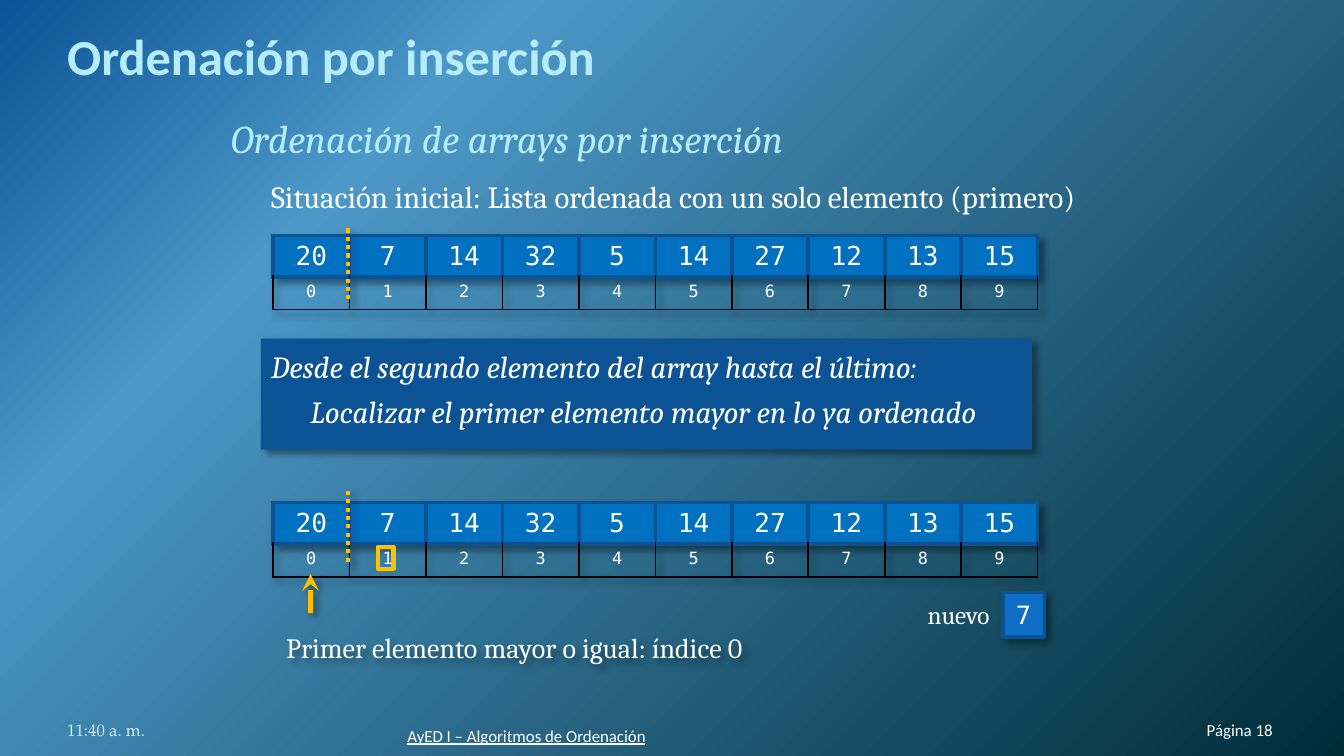
"""Build a slide on insertion sort with two array tables."""
import pptx
import pptx.util
import pptx.dml.color
import pptx.enum.dml
import pptx.enum.shapes
import pptx.enum.text
import pptx.oxml
import pptx.oxml.ns

Cm, Pt = pptx.util.Cm, pptx.util.Pt
RGB = pptx.dml.color.RGBColor.from_string
ALIGN = pptx.enum.text.PP_ALIGN
ANCHOR = pptx.enum.text.MSO_ANCHOR
LINE = pptx.enum.shapes.MSO_CONNECTOR.STRAIGHT
RECT = pptx.enum.shapes.MSO_SHAPE.RECTANGLE
NS = pptx.oxml.ns.nsdecls("a")
HUES = {
    "navy": "0B5394", "sky": "4C98C7", "deep": "002C38", "cell": "0070C0",
    "ice": "B5EDFD", "white": "FFFFFF", "gold": "FFC000", "pale": "D1EAEE",
    "new": "0F6FC6", "edge": "0B5292",
}
MONO, SERIF, SANS = "DejaVu Sans Mono", "Cambria", "Calibri"


def write(par, text, size, face, hue="white", align=None):
    """Fill a paragraph with one formatted run and return its font."""
    par.text = text
    par.alignment = align
    font = par.runs[0].font
    font.size, font.name = Pt(size), face
    font.color.rgb = RGB(HUES[hue])
    return font


def shade(props):
    """Give shape or table properties a soft drop shadow."""
    for old in props.findall(pptx.oxml.ns.qn("a:effectLst")):
        props.remove(old)
    props.append(pptx.oxml.parse_xml(
        f'<a:effectLst {NS}><a:outerShdw blurRad="50800" dist="38100" dir="2700000" '
        'algn="tl" rotWithShape="0"><a:srgbClr val="000000"><a:alpha val="40000"/>'
        '</a:srgbClr></a:outerShdw></a:effectLst>'))


deck = pptx.Presentation()
deck.slide_width, deck.slide_height = Cm(25.4), Cm(14.29)
slide = deck.slides.add_slide(deck.slide_layouts[1])
shapes = slide.shapes

slide.background.fill.gradient()
grad = slide._element.find(".//" + pptx.oxml.ns.qn("a:gradFill"))
stops = "".join(
    f'<a:gs pos="{pos * 1000}"><a:srgbClr val="{HUES[hue]}"/></a:gs>'
    for pos, hue in ((0, "navy"), (25, "sky"), (100, "deep")))
grad.getparent().replace(grad, pptx.oxml.parse_xml(
    f'<a:gradFill {NS} rotWithShape="1"><a:gsLst>{stops}</a:gsLst>'
    '<a:path path="circle"><a:fillToRect r="100000" b="100000"/></a:path></a:gradFill>'))

panel = shapes.add_shape(RECT, Cm(4.93), Cm(6.4), Cm(14.58), Cm(2.1))
panel.fill.solid()
panel.fill.fore_color.rgb = RGB(HUES["navy"])
panel.line.fill.background()
shade(panel._element.spPr)
shapes._spTree.insert(2, panel._element)

title = shapes.title
title.left, title.top, title.width, title.height = Cm(1.27), Cm(0.58), Cm(22.86), Cm(1.04)
frame = title.text_frame
frame.auto_size = pptx.enum.text.MSO_AUTO_SIZE.NONE
frame.vertical_anchor = ANCHOR.BOTTOM
frame.margin_left = frame.margin_right = frame.margin_bottom = 0
font = write(frame.paragraphs[0], "Ordenación por inserción", 27, SANS, "ice", ALIGN.LEFT)
font.bold = True
font._element.insert(0, pptx.oxml.parse_xml(
    f'<a:ln {NS} w="9525"><a:solidFill><a:srgbClr val="{HUES["cell"]}"/></a:solidFill></a:ln>'))

body = slide.placeholders[1]
body.left, body.top, body.width, body.height = Cm(4.11), Cm(2.03), Cm(17.42), Cm(10.64)
frame = body.text_frame
frame.auto_size = pptx.enum.text.MSO_AUTO_SIZE.NONE
lines = [
    ("Ordenación de arrays por inserción", 0, 0, 0, 9, 21, "ice", True),
    ("Situación inicial: Lista ordenada con un solo elemento (primero)",
     1, 0.76, 0, 4.5, 16.5, "white", False),
    ("Desde el segundo elemento del array hasta el último:",
     1, 0.76, 66.5, 4.5, 16.5, "white", True),
    ("Localizar el primer elemento mayor en lo ya ordenado",
     1, 1.5, 0, 4.5, 16.5, "white", True),
]
for num, (text, level, inset, above, below, size, hue, slant) in enumerate(lines):
    par = frame.add_paragraph() if num else frame.paragraphs[0]
    par.level = level
    par.space_before, par.space_after = Pt(above), Pt(below)
    props = par._p.get_or_add_pPr()
    props.set("marL", str(Cm(inset)))
    props.set("indent", "0")
    props.append(pptx.oxml.parse_xml(f"<a:buNone {NS}/>"))
    write(par, text, size, SERIF, hue).italic = slant

values = [20, 7, 14, 32, 5, 14, 27, 12, 13, 15]
for top, mark in ((4.45, 4.29), (9.5, 9.25)):
    grid = shapes.add_table(2, len(values), Cm(5.16), Cm(top), Cm(14.45), Cm(1.39)).table
    grid.first_row = grid.horz_banding = False
    props = grid._tbl.tblPr
    props.remove(props[0])
    shade(props)
    for row, (high, items, size, sides) in enumerate((
            (0.77, values, 14, "LRTB"), (0.62, range(len(values)), 9, "T"))):
        grid.rows[row].height = Cm(high)
        for col, item in enumerate(items):
            cell = grid.cell(row, col)
            cell.margin_left = cell.margin_right = Cm(0.18)
            cell.margin_top = cell.margin_bottom = Cm(0.1)
            write(cell.text_frame.paragraphs[0], str(item), size, MONO, "white", ALIGN.CENTER)
            props = cell._tc.get_or_add_tcPr()
            for side in sides:
                props.append(pptx.oxml.parse_xml(
                    f'<a:ln{side} {NS} w="28575"><a:solidFill>'
                    f'<a:srgbClr val="{HUES["navy"]}"/></a:solidFill></a:ln{side}>'))
            if row:
                cell.fill.background()
            else:
                cell.fill.solid()
                cell.fill.fore_color.rgb = RGB(HUES["cell"])
    split = shapes.add_connector(LINE, Cm(6.58), Cm(mark + 1.37), Cm(6.58), Cm(mark))
    split.line.color.rgb = RGB(HUES["gold"])
    split.line.width = Pt(2.25)
    split.line.dash_style = pptx.enum.dml.MSO_LINE.ROUND_DOT
    shade(split._element.spPr)

ring = shapes.add_shape(RECT, Cm(7.14), Cm(10.34), Cm(0.3), Cm(0.41))
ring.shadow.inherit = False
ring.fill.background()
ring.line.color.rgb = RGB(HUES["gold"])
ring.line.width = Pt(2.25)

first = shapes.add_group_shape().shapes
arrow = first.add_connector(LINE, Cm(5.87), Cm(11.58), Cm(5.87), Cm(10.85))
arrow.line.color.rgb = RGB(HUES["gold"])
arrow.line.width = Pt(3)
arrow.line._get_or_add_ln().append(pptx.oxml.parse_xml(f'<a:tailEnd {NS} type="stealth"/>'))
shade(arrow._element.spPr)
note = first.add_textbox(Cm(5.16), Cm(11.79), Cm(9.63), Cm(0.89))
shade(note._element.spPr)

fresh = shapes.add_group_shape().shapes
box = fresh.add_shape(RECT, Cm(18.95), Cm(11.2), Cm(0.79), Cm(0.84))
box.fill.solid()
box.fill.fore_color.rgb = RGB(HUES["new"])
box.line.color.rgb = RGB(HUES["edge"])
box.line.width = Pt(2)
shade(box._element.spPr)
label = fresh.add_textbox(Cm(17.2), Cm(11.2), Cm(1.75), Cm(0.84))

for item, text, size, face, align in (
        (note, "Primer elemento mayor o igual: índice 0", 15, SERIF, ALIGN.LEFT),
        (box, "7", 13.5, MONO, ALIGN.LEFT),
        (label, "nuevo", 13.5, SERIF, ALIGN.RIGHT)):
    frame = item.text_frame
    frame.word_wrap = False
    frame.vertical_anchor = ANCHOR.TOP
    frame.paragraphs[0].space_after = Pt(4.5)
    write(frame.paragraphs[0], text, size, face, "white", align)

for left, top, width, text, face, hue, align, under in (
        (21.56, 13.23, 2.49, "Página 18", SANS, "white", ALIGN.RIGHT, False),
        (1.27, 13.23, 5.92, "11:40 a. m.", "TeX Gyre Pagella", "pale", ALIGN.LEFT, False),
        (7.7, 13.34, 9.6, "AyED I – Algoritmos de Ordenación", SANS, "white", ALIGN.LEFT, True)):
    frame = shapes.add_textbox(Cm(left), Cm(top), Cm(width), Cm(0.76)).text_frame
    frame.word_wrap = True
    frame.vertical_anchor = ANCHOR.BOTTOM
    frame.margin_left = frame.margin_right = frame.margin_top = frame.margin_bottom = 0
    write(frame.paragraphs[0], text, 9, face, hue, align).underline = under

deck.save("out.pptx")
